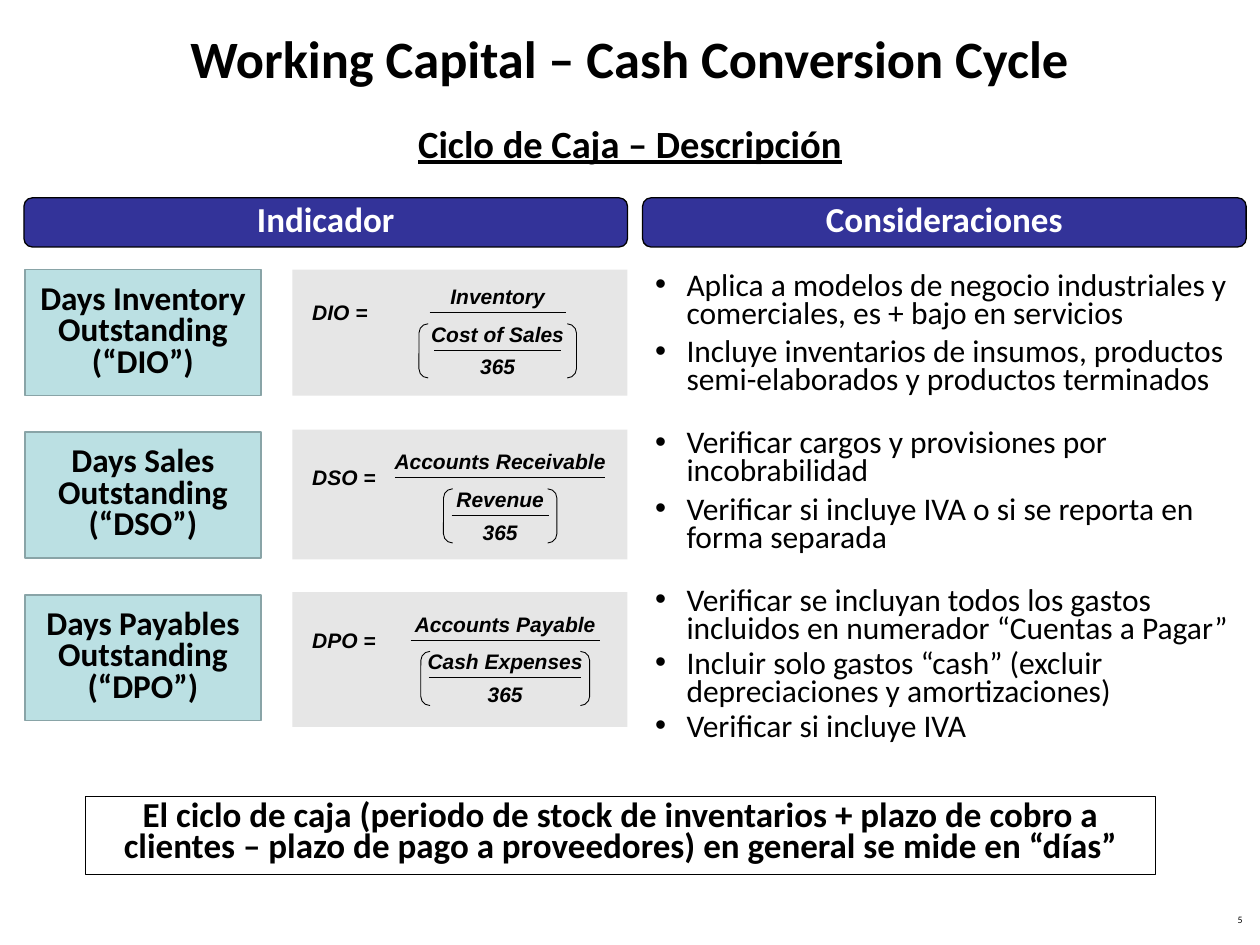
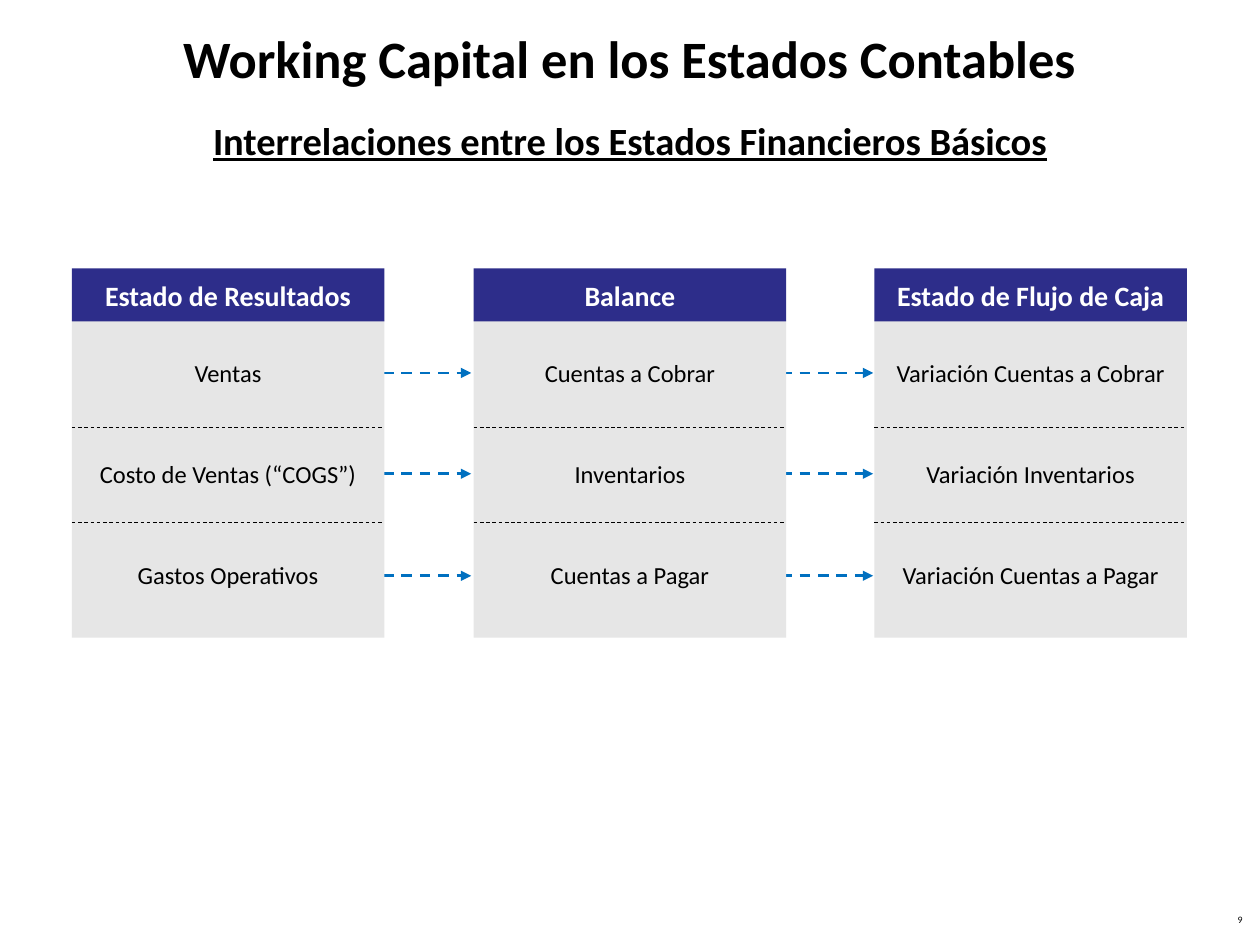
from lxml import etree
from pptx import Presentation
from pptx import util as u
from pptx.dml import color
from pptx.enum import dml, shapes, text
from pptx.oxml import ns

COLORS = {
    "black": "000000", "white": "FFFFFF", "indigo": "333399", "navy": "2D2D8A",
    "grey": "E6E6E6", "aqua": "BBE0E3", "aqua_edge": "89A4A7", "blue": "0070C0",
}
CENTER = {"alignment": text.PP_ALIGN.CENTER}
RIGHT = {"alignment": text.PP_ALIGN.RIGHT, "line_spacing": 0.8}
TIGHT = {**CENTER, "line_spacing": 0.8}
LINES_18 = {**CENTER, "line_spacing": u.Pt(18)}
MIDDLE = {"vertical_anchor": text.MSO_ANCHOR.MIDDLE}
FORMULA = {"name": "Arial", "size": u.Pt(12), "bold": True, "italic": True}
FORMULA_INSETS = {"margin_left": u.Inches(0.05), "margin_right": u.Inches(0.05),
                  "margin_top": u.Inches(0.03), "margin_bottom": u.Inches(0.03)}


def rgb(name):
    return color.RGBColor.from_string(COLORS[name])


def assign(target, values):
    for name, value in values.items():
        setattr(target, name, value)


def bold(size, **extra):
    return {"size": u.Pt(size), "bold": True, **extra}


class Deck:
    """Holds the shared style and the current page, and draws each kind of element."""

    def __init__(self):
        self.deck = Presentation()
        self.deck.slide_width, self.deck.slide_height = u.Inches(10), u.Inches(7.5)
        self.page = None

    def start_page(self, title, subtitle, subtitle_top, number):
        self.page = self.deck.slides.add_slide(self.deck.slide_layouts[6])
        self.label(title, (0, 0, 10, 0.91), bold(30), CENTER, MIDDLE)
        self.label(subtitle, (0.5, subtitle_top, 9, 0.47), bold(22, underline=True), CENTER)
        self.label(number, (7.63, 7.22, 2.33, 0.21), {"size": u.Pt(5.6)}, RIGHT)

    def fill_text(self, box, lines, font, para_format, frame_format, ink="black", gaps=(), bullet=False):
        frame = box.text_frame
        assign(frame, {"word_wrap": True, "vertical_anchor": text.MSO_ANCHOR.TOP, **frame_format})
        for index, line in enumerate(lines):
            para = frame.add_paragraph() if index else frame.paragraphs[0]
            if bullet:
                self.add_bullet(para)
            assign(para, para_format)
            if index:
                para.space_before = u.Pt(gaps[index - 1])
            span = para.add_run()
            span.text = line
            assign(span.font, {"name": "Calibri", **font})
            span.font.color.rgb = rgb(ink)

    def add_bullet(self, para):
        props = para._p.get_or_add_pPr()
        indent = u.Inches(0.25)
        props.set("marL", str(indent))
        props.set("indent", str(-indent))
        etree.SubElement(props, ns.qn("a:buFont"), typeface="Arial")
        etree.SubElement(props, ns.qn("a:buChar"), char="•")

    def label(self, words, place, font, para_format, frame_format={}, **options):
        box = self.page.shapes.add_textbox(*map(u.Inches, place))
        lines = [words] if isinstance(words, str) else words
        self.fill_text(box, lines, font, para_format, frame_format, **options)

    def shape(self, place, fill=None, edge=None, width=0.75, kind="RECTANGLE", adjust=None):
        box = self.page.shapes.add_shape(shapes.MSO_SHAPE[kind], *map(u.Inches, place))
        box.shadow.inherit = False
        if fill:
            box.fill.solid()
            box.fill.fore_color.rgb = rgb(fill)
        else:
            box.fill.background()
        if edge:
            box.line.color.rgb = rgb(edge)
            box.line.width = u.Pt(width)
        else:
            box.line.fill.background()
        if adjust is not None:
            box.adjustments[0] = adjust
        return box

    def line(self, left, right, y, ink="black", width=0.5, dashed=False, arrow=False):
        ends = map(u.Inches, (left, y, right, y))
        link = self.page.shapes.add_connector(shapes.MSO_CONNECTOR.STRAIGHT, *ends)
        link.line.color.rgb = rgb(ink)
        link.line.width = u.Pt(width)
        if dashed:
            link.line.dash_style = dml.MSO_LINE.DASH
        if arrow:
            etree.SubElement(link.line._get_or_add_ln(), ns.qn("a:tailEnd"), type="triangle")
        etree.SubElement(link._element.spPr, ns.qn("a:effectLst"))

    def formula(self, name, numerator, denominator, center, bar_y, bar, inner_bar, bracket):
        self.label(name, (2.38, bar_y - 0.15, 0.9, 0.3), FORMULA, {})
        for words, offset in ((numerator, -0.26), (denominator, 0.04), ("365", 0.3)):
            place = (center - 0.9, bar_y + offset, 1.8, 0.26)
            self.label(words, place, FORMULA, CENTER, FORMULA_INSETS)
        for length, offset in ((bar, 0), (inner_bar, 0.3)):
            self.line(center - length / 2, center + length / 2, bar_y + offset)
        self.shape((center - bracket / 2, bar_y + 0.09, bracket, 0.43), edge="black",
                   width=0.5, kind="DOUBLE_BRACKET", adjust=0.17)


def draw_cycle(deck):
    deck.start_page("Working Capital – Cash Conversion Cycle", "Ciclo de Caja – Descripción", 0.9, "5")
    for left, heading in ((0.19, "Indicador"), (5.1, "Consideraciones")):
        header = deck.shape((left, 1.57, 4.79, 0.39), "indigo", "black",
                            kind="ROUNDED_RECTANGLE", adjust=0.17)
        deck.fill_text(header, [heading], bold(20), TIGHT, MIDDLE, "white")

    indicators = (
        ("Days Inventory Outstanding (“DIO”)", 2.14, 1.0,
         ("DIO =", "Inventory", "Cost of Sales", 3.95, 2.48, 1.08, 1.01, 1.25)),
        ("Days Sales Outstanding (“DSO”)", 3.41, 1.03,
         ("DSO =", "Accounts Receivable", "Revenue", 3.97, 3.79, 1.67, 0.77, 0.9)),
        ("Days Payables Outstanding (“DPO”)", 4.7, 1.07,
         ("DPO =", "Accounts Payable", "Cash Expenses", 4.01, 5.08, 1.5, 1.21, 1.34)),
    )
    for row, (name, top, height, formula) in enumerate(indicators):
        card = deck.shape((0.2, 2.14 + 1.29 * row, 1.87, 1), "aqua", "aqua_edge", 1)
        deck.fill_text(card, [name], bold(19), LINES_18, MIDDLE)
        deck.shape((2.32, top, 2.66, height), "grey")
        deck.formula(*formula)

    considerations = (
        "Aplica a modelos de negocio industriales y comerciales, es + bajo en servicios",
        "Incluye inventarios de insumos, productos semi-elaborados y productos terminados",
        "Verificar cargos y provisiones por incobrabilidad",
        "Verificar si incluye IVA o si se reporta en forma separada",
        "Verificar se incluyan todos los gastos incluidos en numerador “Cuentas a Pagar”",
        "Incluir solo gastos “cash” (excluir depreciaciones y amortizaciones)",
        "Verificar si incluye IVA",
    )
    deck.label(considerations, (5.1, 2.13, 4.79, 3.68), {"size": u.Pt(18)},
               {"line_spacing": u.Pt(16)}, gaps=(6, 20, 6, 20, 4, 4), bullet=True)

    callout = deck.shape((0.68, 6.32, 8.49, 0.62), edge="black")
    message = ("El ciclo de caja (periodo de stock de inventarios + plazo de cobro a clientes "
               "– plazo de pago a proveedores) en general se mide en “días”")
    deck.fill_text(callout, [message], bold(20), LINES_18, {})


def draw_statements(deck):
    deck.start_page("Working Capital en los Estados Contables",
                    "Interrelaciones entre los Estados Financieros Básicos", 0.88, "9")
    for y in (2.96, 3.76, 4.57):
        for left, right in ((3.04, 3.74), (6.2, 6.93)):
            deck.line(left, right, y, "blue", 1.5, dashed=True, arrow=True)

    statements = (
        (0.57, "Estado de Resultados", ("Ventas", "Costo de Ventas (“COGS”)", "Gastos Operativos")),
        (3.76, "Balance", ("Cuentas a Cobrar", "Inventarios", "Cuentas a Pagar")),
        (6.94, "Estado de Flujo de Caja",
         ("Variación Cuentas a Cobrar", "Variación Inventarios", "Variación Cuentas a Pagar")),
    )
    for left, heading, accounts in statements:
        panel = deck.shape((left, 2.54, 2.48, 2.52), "grey")
        deck.fill_text(panel, accounts, {"size": u.Pt(14)}, CENTER,
                       {"margin_top": u.Inches(0.3)}, gaps=(41, 41))
        header = deck.shape((left, 2.13, 2.48, 0.42), "navy")
        deck.fill_text(header, [heading], bold(16), CENTER, MIDDLE, "white")
        for y in (3.39, 4.15):
            deck.line(left, left + 2.46, y, dashed=True)


def main():
    deck = Deck()
    draw_cycle(deck)
    draw_statements(deck)
    deck.deck.save("out.pptx")


if __name__ == "__main__":
    main()
